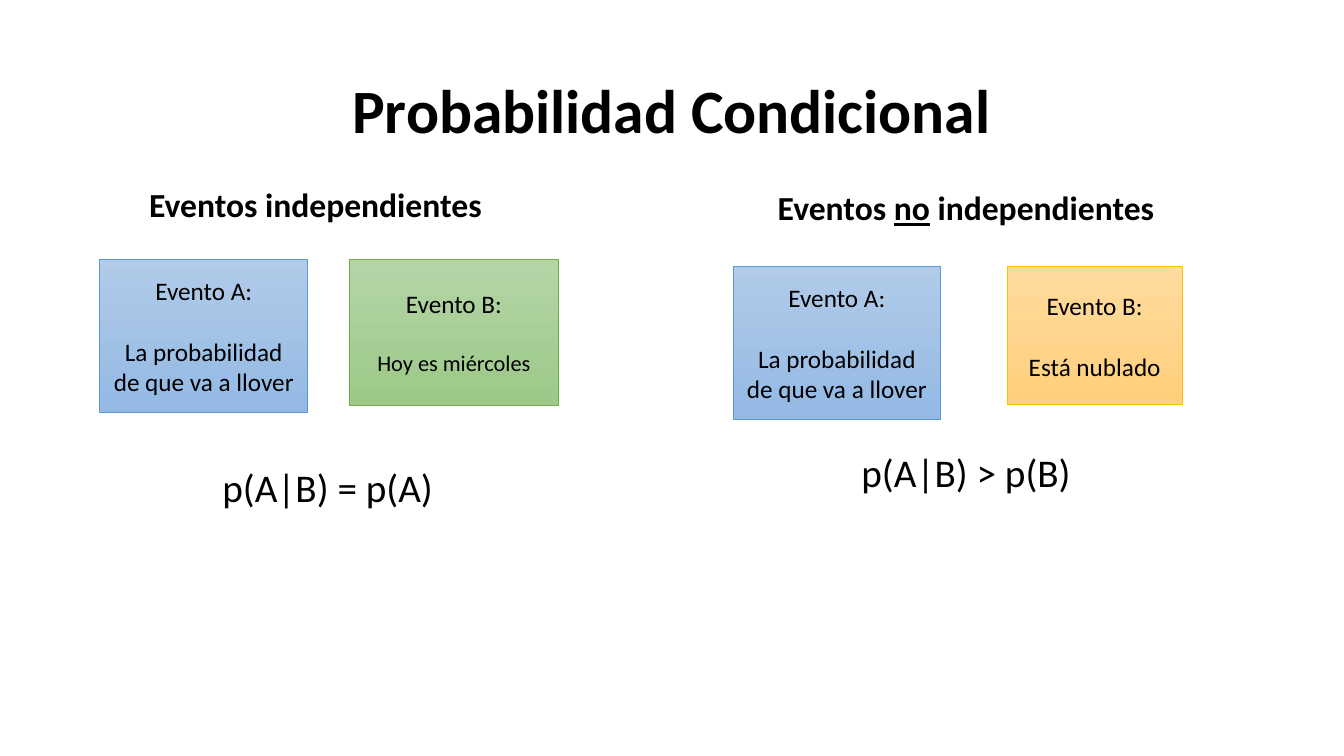
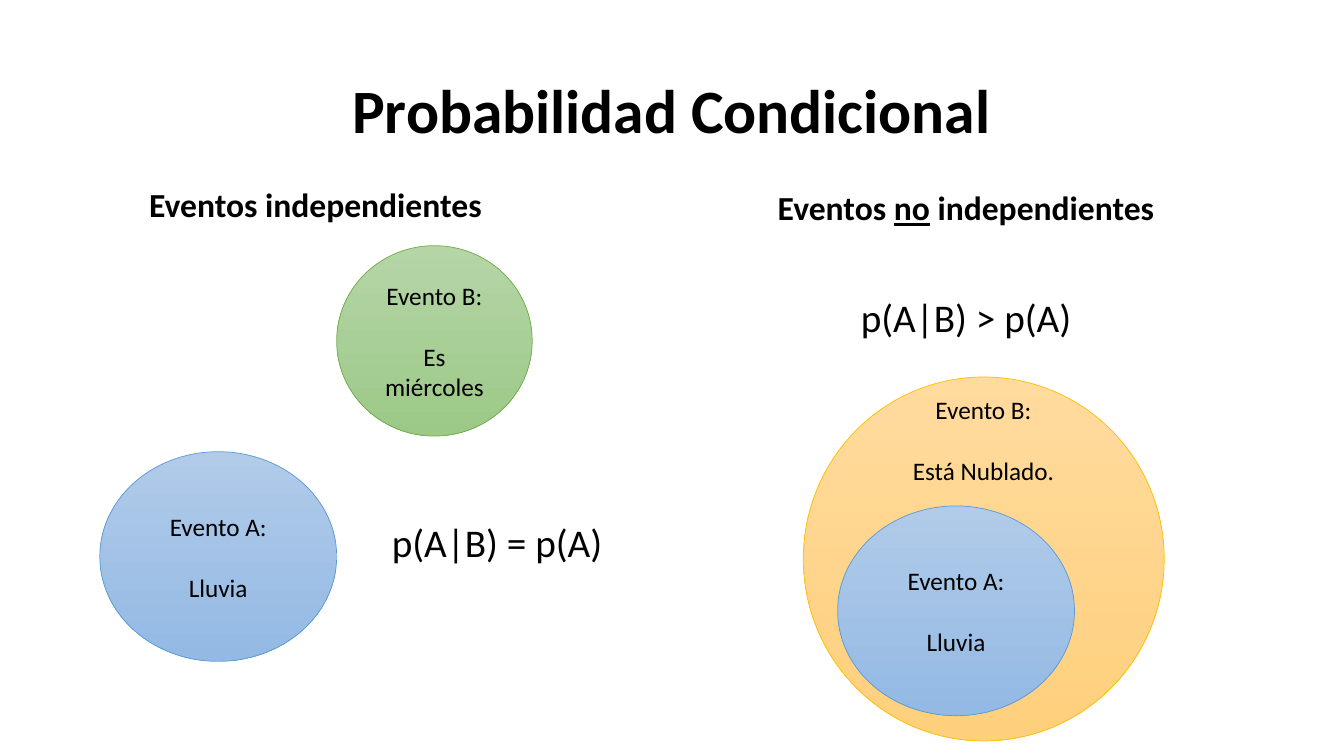
"""Build two slides on conditional probability."""
import pptx
import pptx.util
import pptx.dml.color
import pptx.enum.shapes
import pptx.enum.text

Pt = pptx.util.Pt
RGBColor = pptx.dml.color.RGBColor
Shape = pptx.enum.shapes.MSO_SHAPE
Anchor = pptx.enum.text.MSO_ANCHOR
Align = pptx.enum.text.PP_ALIGN

FONT = "Calibri"
BLACK = RGBColor(0x00, 0x00, 0x00)
BLUE = (RGBColor(0xB1, 0xCB, 0xE9), RGBColor(0x93, 0xB9, 0xE4), RGBColor(0x5B, 0x9B, 0xD5))
GREEN = (RGBColor(0xB5, 0xD5, 0xA7), RGBColor(0x9C, 0xC9, 0x87), RGBColor(0x70, 0xAD, 0x47))
GOLD = (RGBColor(0xFF, 0xDB, 0x9E), RGBColor(0xFF, 0xD0, 0x7C), RGBColor(0xFF, 0xC0, 0x00))

TITLE = "Probabilidad Condicional"
HEADS = [
    (22.3, 130.3, 406, ["Eventos independientes"]),
    (486, 132.5, 408, ["Eventos ", "no", " independientes"]),
]
RAIN = "La probabilidad de que va a llover"
GAP = 22

SLIDES = [
    {
        "events": [
            (Shape.RECTANGLE, GREEN, 249.8, 185, 149, 104.4, "Evento B:\nHoy es miércoles", 16),
            (Shape.RECTANGLE, BLUE, 523.5, 190.5, 148.5, 109.4, "Evento A:\n" + RAIN, 18),
            (Shape.RECTANGLE, GOLD, 719.3, 190.5, 125.3, 98.6, "Evento B:\nEstá nublado", 18),
            (Shape.RECTANGLE, BLUE, 71.3, 185, 148.5, 109.4, "Evento A:\n" + RAIN, 18),
        ],
        "labels": [
            (234, 348, "p(A|B) = p(A)", 28),
            (690, 337, "p(A|B) > p(B)", 28),
        ],
    },
    {
        "events": [
            (Shape.OVAL, GOLD, 573.8, 269.3, 257.8, 260, "", 18),
            (Shape.OVAL, BLUE, 71.3, 322.6, 169.2, 149.8, "Evento A:\nLluvia", 18),
            (Shape.OVAL, GREEN, 240.5, 175.5, 139.7, 136, "Evento B:\nEs miércoles", 18),
            (Shape.OVAL, BLUE, 598.3, 361.4, 169.2, 149.8, "Evento A:\nLluvia", 18),
        ],
        "labels": [
            (355, 387, "p(A|B) = p(A)", 28),
            (690, 226, "p(A|B) > p(A)", 28),
            (702.5, 314, "Evento B:\nEstá Nublado.", 18),
        ],
    },
]


def style(frame, size, bold=False, anchor=Anchor.MIDDLE):
    frame.word_wrap = True
    frame.vertical_anchor = anchor
    for para in frame.paragraphs:
        para.alignment = Align.CENTER
        for run in para.runs:
            run.font.name = FONT
            run.font.size = Pt(size)
            run.font.bold = bold
            run.font.color.rgb = BLACK


def space(frame):
    for para in frame.paragraphs[1:]:
        para.space_before = Pt(GAP)


deck = pptx.Presentation()
deck.slide_width = Pt(960)
deck.slide_height = Pt(540)

for page in SLIDES:
    slide = deck.slides.add_slide(deck.slide_layouts[5])
    shapes = slide.shapes
    title = shapes.title
    title.left, title.top, title.width, title.height = Pt(66), Pt(28.8), Pt(828), Pt(104.4)
    title.text_frame.text = TITLE
    title.text_frame.paragraphs[0].line_spacing = 0.9
    style(title.text_frame, 44, True)

    for left, top, width, parts in HEADS:
        head = shapes.add_textbox(Pt(left), Pt(top), Pt(width), Pt(34))
        para = head.text_frame.paragraphs[0]
        para.line_spacing = 0.9
        for part in parts:
            run = para.add_run()
            run.text = part
            run.font.underline = part == "no"
        style(head.text_frame, 24, True, Anchor.BOTTOM)

    for kind, tint, left, top, width, height, text, size in page["events"]:
        event = shapes.add_shape(kind, Pt(left), Pt(top), Pt(width), Pt(height))
        event.shadow.inherit = False
        event.fill.gradient()
        event.fill.gradient_angle = 270
        for stop, color in zip(event.fill.gradient_stops, tint):
            stop.color.rgb = color
        event.line.color.rgb = tint[2]
        event.line.width = Pt(0.5)
        if text:
            frame = event.text_frame
            frame.text = text
            style(frame, 18)
            space(frame)
            frame.paragraphs[1].runs[0].font.size = Pt(size)

    for mid, level, text, size in page["labels"]:
        label = shapes.add_textbox(Pt(mid - 90), Pt(level - 40), Pt(180), Pt(80))
        label.text_frame.text = text
        style(label.text_frame, size)
        space(label.text_frame)

deck.save("out.pptx")
